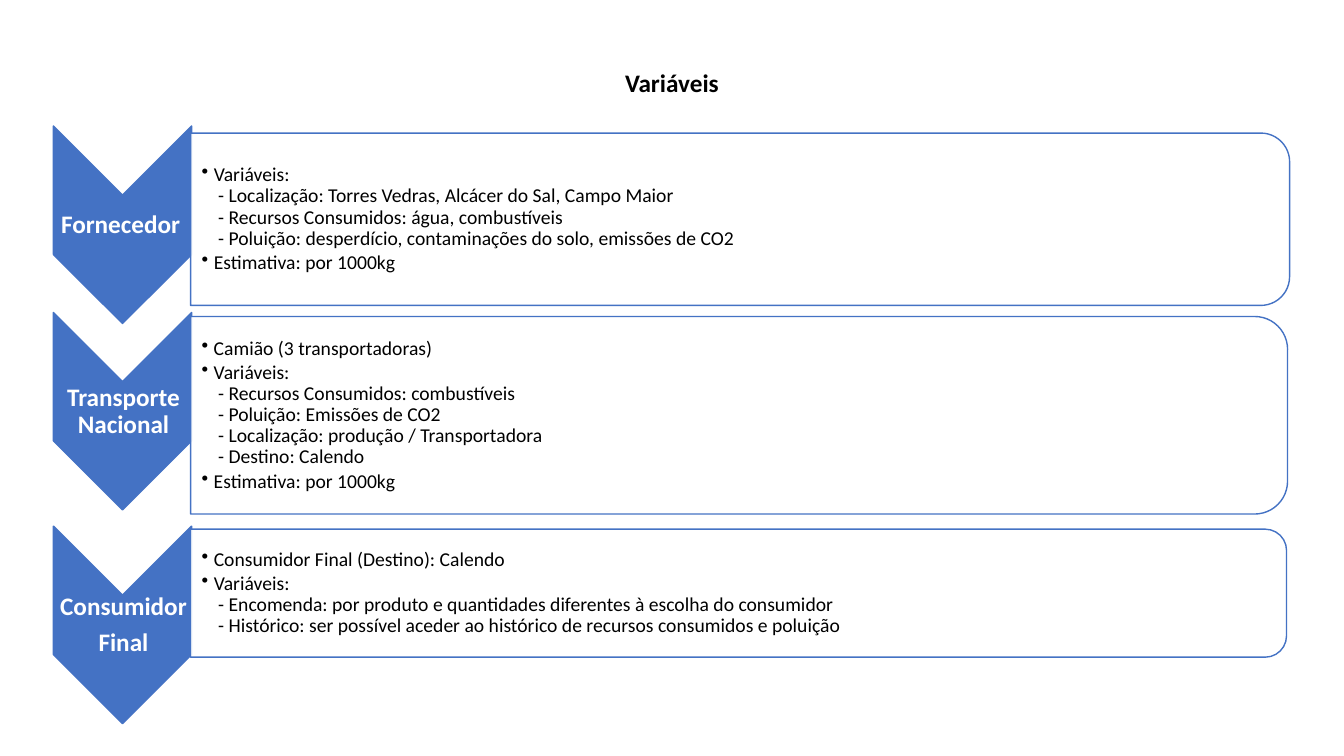
import pptx
import pptx.util
import pptx.dml.color
import pptx.enum.shapes
import pptx.enum.text
import pptx.oxml
import pptx.oxml.ns
from pptx.util import Inches, Pt

BLUE, WHITE, BLACK = "4472C4", "FFFFFF", "000000"
FONT = "Calibri"
CHEVRON_LEFT, CHEVRON_WIDTH, CHEVRON_HEIGHT = 0.53, 1.37, 1.96
PANEL_LEFT = 1.89
SHAPES = pptx.enum.shapes.MSO_SHAPE
ANCHOR = pptx.enum.text.MSO_ANCHOR
CENTER = pptx.enum.text.PP_ALIGN.CENTER

# chevron top, panel top, panel width, panel height, label, bullets
STAGES = [
    (1.25, 1.32, 10.9, 1.71, ["Fornecedor "], [
        "Variáveis:\n"
        " - Localização: Torres Vedras, Alcácer do Sal, Campo Maior\n"
        " - Recursos Consumidos: água, combustíveis\n"
        " - Poluição: desperdício, contaminações do solo, emissões de CO2",
        "Estimativa: por 1000kg",
    ]),
    (3.1, 3.14, 10.88, 1.96, ["Transporte Nacional"], [
        "Camião (3 transportadoras)",
        "Variáveis:\n"
        " - Recursos Consumidos: combustíveis\n"
        " - Poluição: Emissões de CO2\n"
        " - Localização: produção / Transportadora\n"
        " - Destino: Calendo",
        "Estimativa: por 1000kg",
    ]),
    (5.22, 5.25, 10.87, 1.27, ["Consumidor", "Final"], [
        "Consumidor Final (Destino): Calendo",
        "Variáveis:\n"
        " - Encomenda: por produto e quantidades diferentes à escolha do consumidor\n"
        " - Histórico: ser possível aceder ao histórico de recursos consumidos e poluição",
    ]),
]


def rgb(value):
    return pptx.dml.color.RGBColor.from_string(value)


def style_font(para, size, color, bold=False):
    para.font.name = FONT
    para.font.size = Pt(size)
    para.font.bold = bold
    para.font.color.rgb = rgb(color)


def add_turned_shape(page, kind, left, top, width, height, fill):
    """Add a shape turned a quarter clockwise that covers the given area."""
    shape = page.shapes.add_shape(
        kind,
        Inches(left + (width - height) / 2), Inches(top + (height - width) / 2),
        Inches(height), Inches(width))
    shape.rotation = 90
    shape.shadow.inherit = False
    shape.fill.solid()
    shape.fill.fore_color.rgb = rgb(fill)
    shape.line.color.rgb = rgb(BLUE)
    shape.line.width = Pt(1)
    return shape


def set_opacity(shape, percent):
    color = shape.element.spPr.find(
        "a:solidFill/a:srgbClr", pptx.oxml.ns._nsmap)
    color.append(pptx.oxml.parse_xml(
        f'<a:alpha {pptx.oxml.ns.nsdecls("a")} val="{percent * 1000}"/>'))


def add_paragraphs(page, left, top, width, height, texts, left_inset, after):
    """Add a vertically centred text box and return its paragraphs."""
    box = page.shapes.add_textbox(
        Inches(left), Inches(top), Inches(width), Inches(height))
    frame = box.text_frame
    frame.word_wrap = True
    frame.vertical_anchor = ANCHOR.MIDDLE
    frame.margin_left = Inches(left_inset)
    frame.margin_top = frame.margin_right = frame.margin_bottom = Inches(0.01)
    for index, text in enumerate(texts):
        para = frame.add_paragraph() if index else frame.paragraphs[0]
        para.text = text
        para.line_spacing = 0.9
        para.space_after = Pt(after)
    return frame.paragraphs


def add_bullet(para):
    properties = para._p.get_or_add_pPr()
    properties.set("marL", str(Inches(0.12)))
    properties.set("indent", str(-Inches(0.12)))
    bullet = pptx.oxml.parse_xml(
        f'<a:buChar {pptx.oxml.ns.nsdecls("a")} char="•"/>')
    properties.find(pptx.oxml.ns.qn("a:defRPr")).addprevious(bullet)


def add_chevron(page, top, label):
    add_turned_shape(page, SHAPES.CHEVRON, CHEVRON_LEFT, top,
                     CHEVRON_WIDTH, CHEVRON_HEIGHT, BLUE)
    for para in add_paragraphs(page, CHEVRON_LEFT + 0.01, top + 0.69,
                               CHEVRON_WIDTH, 0.59, label, 0.01, 6.3):
        para.alignment = CENTER
        style_font(para, 18, WHITE, bold=True)


def add_panel(page, top, width, height, bullets):
    panel = add_turned_shape(page, SHAPES.ROUND_2_SAME_RECTANGLE, PANEL_LEFT,
                             top, width, height, WHITE)
    set_opacity(panel, 90)
    inset = 0.08
    for para in add_paragraphs(page, PANEL_LEFT, top + inset, width - inset,
                               height - 2 * inset, bullets, 0.11, 2.1):
        style_font(para, 14, BLACK)
        add_bullet(para)


def set_title(page, text):
    title = page.shapes.title
    title.left, title.top = Inches(2.15), Inches(0.62)
    title.width, title.height = Inches(9.03), Inches(0.4)
    title.text_frame.vertical_anchor = ANCHOR.MIDDLE
    para = title.text_frame.paragraphs[0]
    para.text = text
    para.alignment = CENTER
    style_font(para, 18, BLACK, bold=True)


def main():
    deck = pptx.Presentation()
    deck.slide_width, deck.slide_height = Inches(13.33), Inches(7.5)
    page = deck.slides.add_slide(deck.slide_layouts[5])
    set_title(page, "Variáveis")
    for chevron_top, panel_top, width, height, label, bullets in STAGES:
        add_chevron(page, chevron_top, label)
        add_panel(page, panel_top, width, height, bullets)
    deck.save("out.pptx")


if __name__ == "__main__":
    main()
